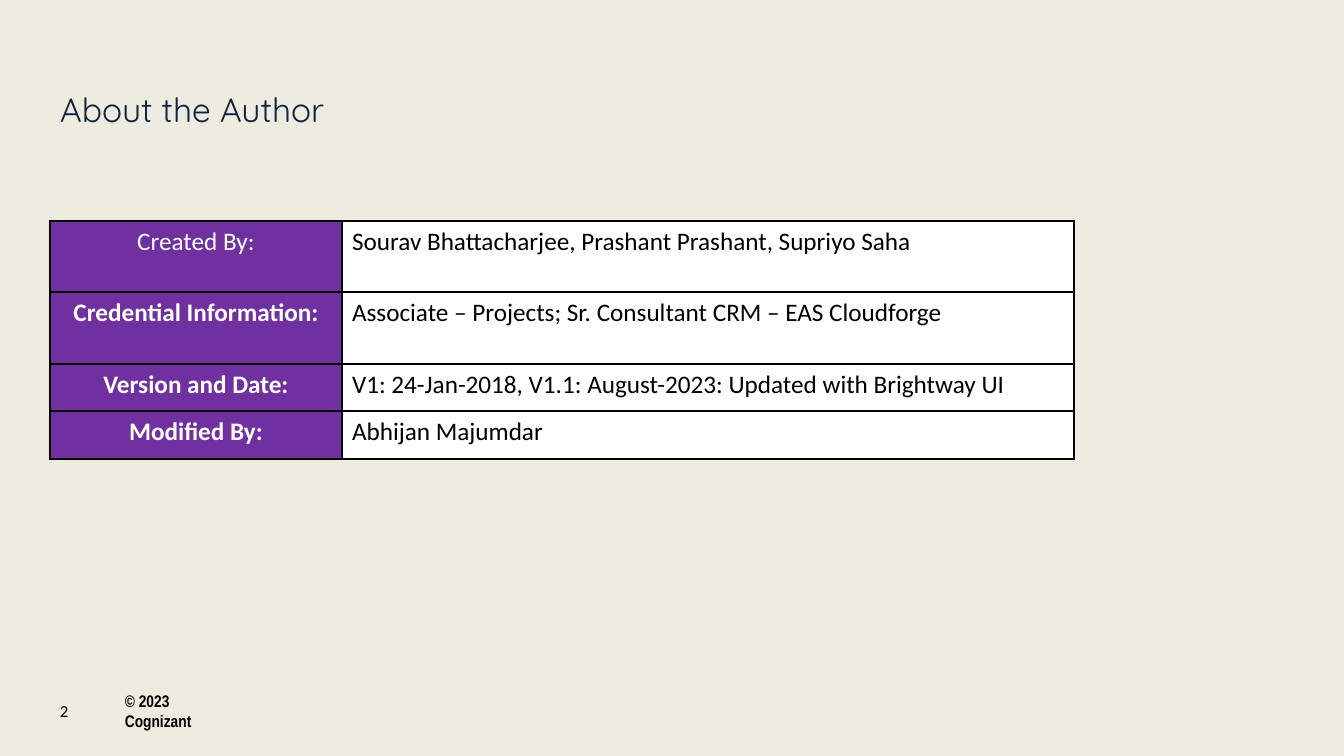
from lxml.etree import SubElement
from pptx import Presentation
from pptx.dml.color import RGBColor
from pptx.enum.text import MSO_ANCHOR, MSO_AUTO_SIZE, PP_ALIGN
from pptx.oxml.ns import qn
from pptx.util import Emu, Pt

PX_PER_INCH = 100.8
PAPER, NAVY, PURPLE = "EEECE1", "0F243E", "7030A0"
BLACK, WHITE = "000000", "FFFFFF"
BORDER_WIDTH = Pt(1)

COLUMN_WIDTHS = (292, 732)
ROWS = (
    (71, "Created By:", "Sourav Bhattacharjee, Prashant Prashant, Supriyo Saha"),
    (72, "Credential Information:", "Associate – Projects; Sr. Consultant CRM – EAS Cloudforge"),
    (47, "Version and Date:", "V1: 24-Jan-2018, V1.1: August-2023: Updated with Brightway UI"),
    (48, "Modified By:", "Abhijan Majumdar"),
)


def px(length):
    return Emu(round(length * 914400 / PX_PER_INCH))


def color(value):
    return RGBColor.from_string(value)


def write(frame, text, font="Calibri", size=12, ink=BLACK, bold=False, align=PP_ALIGN.LEFT):
    frame.word_wrap = True
    para = frame.paragraphs[0]
    para.alignment = align
    span = para.add_run()
    span.text = text
    span.font.name = font
    span.font.size = Pt(size)
    span.font.bold = bold
    span.font.color.rgb = color(ink)


def outline_cell(cell):
    properties = cell._tc.get_or_add_tcPr()
    for position, side in enumerate(("a:lnL", "a:lnR", "a:lnT", "a:lnB")):
        line = SubElement(properties, qn(side), w=str(BORDER_WIDTH))
        fill = SubElement(line, qn("a:solidFill"))
        SubElement(fill, qn("a:srgbClr"), val=BLACK)
        # Borders come before the fill in the cell properties
        properties.insert(position, line)


def add_title(page, left, top, width, height):
    title = page.shapes.title
    title.left, title.top, title.width, title.height = map(px, (left, top, width, height))
    frame = title.text_frame
    frame.auto_size = MSO_AUTO_SIZE.NONE
    frame.vertical_anchor = MSO_ANCHOR.MIDDLE
    write(frame, "About the Author", font="Quicksand", size=24, ink=NAVY)


def add_author_table(page, left, top):
    width, height = sum(COLUMN_WIDTHS), sum(row[0] for row in ROWS)
    table = page.shapes.add_table(len(ROWS), 2, *map(px, (left, top, width, height))).table
    table.first_row = table.horz_banding = False
    for column, column_width in zip(table.columns, COLUMN_WIDTHS):
        column.width = px(column_width)
    for index, (row_height, label, value) in enumerate(ROWS):
        table.rows[index].height = px(row_height)
        label_cell, value_cell = table.rows[index].cells
        for cell, background in ((label_cell, PURPLE), (value_cell, WHITE)):
            cell.fill.solid()
            cell.fill.fore_color.rgb = color(background)
            outline_cell(cell)
        write(label_cell.text_frame, label, size=18, ink=WHITE, bold=index > 0,
              align=PP_ALIGN.CENTER)
        write(value_cell.text_frame, value, size=18)


def add_footer(page, left, top, height):
    parts = (
        (0, 39, "2", {}),
        (65, 132, "© 2023 Cognizant", {"font": "Arial Narrow", "bold": True}),
    )
    for offset, width, text, style in parts:
        box = page.shapes.add_textbox(*map(px, (left + offset, top, width, height)))
        box.text_frame.vertical_anchor = MSO_ANCHOR.MIDDLE
        write(box.text_frame, text, **style)


def main():
    deck = Presentation()
    deck.slide_width, deck.slide_height = px(1344), px(756)
    page = deck.slides.add_slide(deck.slide_layouts[5])
    page.background.fill.solid()
    page.background.fill.fore_color.rgb = color(PAPER)

    add_title(page, 50, 92, 1191, 34)
    add_author_table(page, 50, 221)
    add_footer(page, 50, 691, 40)
    deck.save("out.pptx")


if __name__ == "__main__":
    main()
